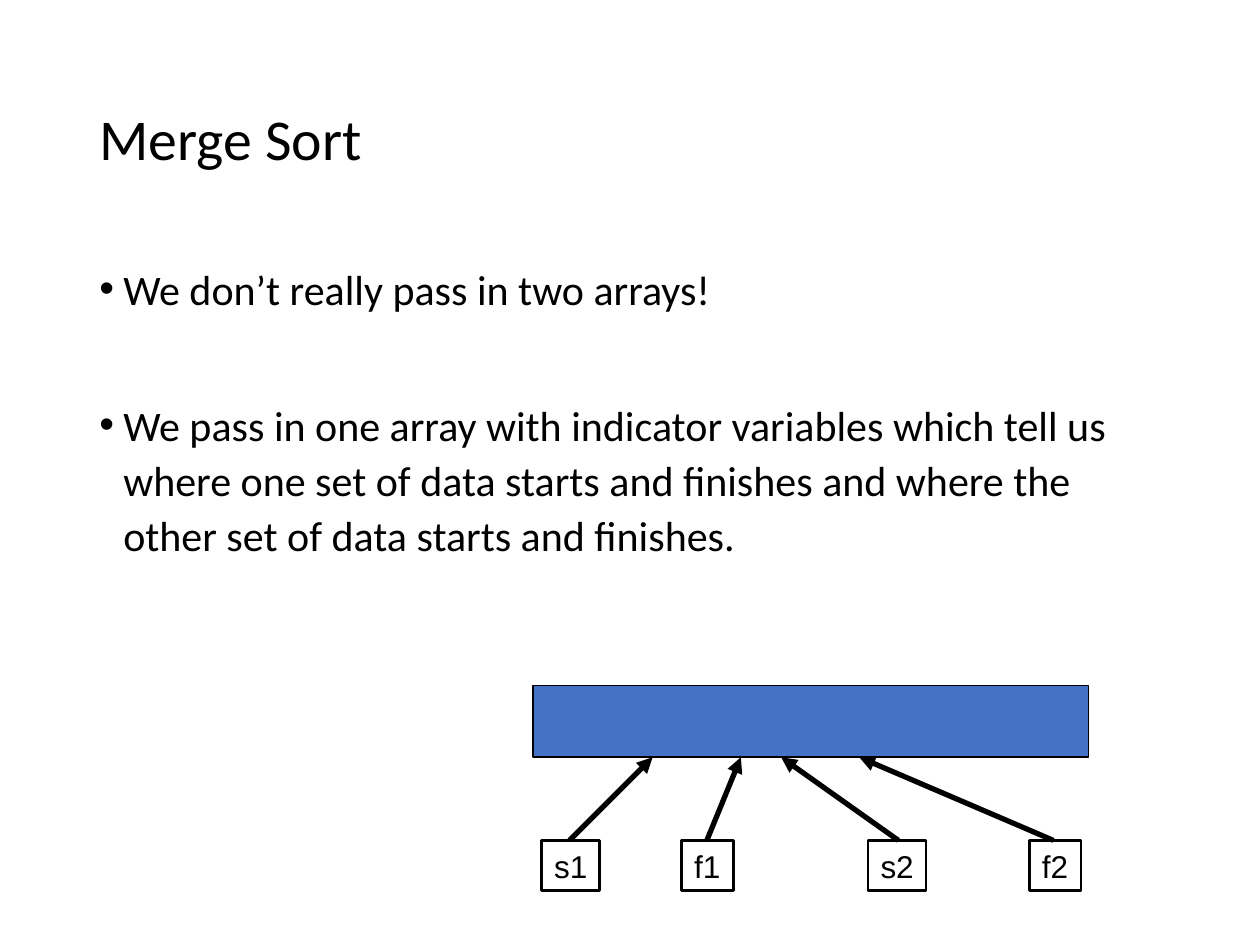
from lxml.etree import SubElement
from pptx import Presentation
from pptx.dml.color import RGBColor
from pptx.enum.shapes import MSO_CONNECTOR, MSO_SHAPE
from pptx.enum.text import MSO_ANCHOR, MSO_AUTO_SIZE, PP_ALIGN
from pptx.oxml.ns import qn
from pptx.util import Inches, Pt

COLORS = {"ink": "000000", "array": "4472C4"}
BULLETS = [
    ("We don’t really pass in two arrays!", 0),
    ("We pass in one array with indicator variables which tell us where one set "
     "of data starts and finishes and where the other set of data starts and "
     "finishes.", 46),
]
ARRAY_TOP, ARRAY_HEIGHT = 5.44, 0.57
ARRAY_BOTTOM = ARRAY_TOP + ARRAY_HEIGHT
INDEX_TOP, INDEX_HEIGHT = 6.67, 0.4
INDICES = [
    ("s1", 4.3, 0.46, 4.52, 5.18),
    ("f1", 5.41, 0.41, 5.61, 5.88),
    ("s2", 6.89, 0.46, 7.13, 6.2),
    ("f2", 8.17, 0.41, 8.36, 6.82),
]


def color(name):
    return RGBColor.from_string(COLORS[name])


def add_run(paragraph, text, size, font):
    run = paragraph.add_run()
    run.text = text
    run.font.size = Pt(size)
    run.font.name = font
    run.font.color.rgb = color("ink")


def add_title(slide, text):
    title = slide.shapes.title
    title.left, title.top = Inches(0.69), Inches(0.4)
    title.width, title.height = Inches(8.63), Inches(1.45)
    frame = title.text_frame
    frame.auto_size = MSO_AUTO_SIZE.NONE
    frame.vertical_anchor = MSO_ANCHOR.MIDDLE
    heading = frame.paragraphs[0]
    heading.alignment = PP_ALIGN.LEFT
    heading.line_spacing = 0.9
    add_run(heading, text, 33, "Calibri")


def add_bullets(slide, bullets):
    body = slide.shapes.add_textbox(Inches(0.69), Inches(2), Inches(8.63), Inches(3.2))
    frame = body.text_frame
    frame.word_wrap = True
    for number, (text, space_before) in enumerate(bullets):
        point = frame.add_paragraph() if number else frame.paragraphs[0]
        point.line_spacing = 1.1
        point.space_before = Pt(space_before)
        properties = point._p.get_or_add_pPr()
        properties.set("marL", str(Inches(0.19)))
        properties.set("indent", str(-Inches(0.19)))
        SubElement(properties, qn("a:buFont"), typeface="Arial")
        SubElement(properties, qn("a:buChar"), char="•")
        add_run(point, text, 24, "Calibri")


def add_box(slide, left, top, width, height, line_width, fill=None):
    box = slide.shapes.add_shape(
        MSO_SHAPE.RECTANGLE, Inches(left), Inches(top), Inches(width), Inches(height))
    box.shadow.inherit = False
    if fill:
        box.fill.solid()
        box.fill.fore_color.rgb = color(fill)
    else:
        box.fill.background()
    box.line.color.rgb = color("ink")
    box.line.width = Pt(line_width)
    return box


def add_index(slide, label, left, width):
    index = add_box(slide, left, INDEX_TOP, width, INDEX_HEIGHT, 1.5)
    frame = index.text_frame
    frame.word_wrap = False
    frame.vertical_anchor = MSO_ANCHOR.TOP
    frame.paragraphs[0].alignment = PP_ALIGN.LEFT
    add_run(frame.paragraphs[0], label, 18, "Arial")


def add_arrow(slide, start_x, end_x):
    arrow = slide.shapes.add_connector(
        MSO_CONNECTOR.STRAIGHT, Inches(start_x), Inches(INDEX_TOP),
        Inches(end_x), Inches(ARRAY_BOTTOM))
    arrow.line.color.rgb = color("ink")
    arrow.line.width = Pt(3)
    SubElement(arrow.line._get_or_add_ln(), qn("a:tailEnd"), type="triangle")
    SubElement(arrow._element.spPr, qn("a:effectLst"))


def main():
    deck = Presentation()
    deck.slide_width, deck.slide_height = Inches(10), Inches(7.5)
    slide = deck.slides.add_slide(deck.slide_layouts[5])
    add_title(slide, "Merge Sort")
    add_bullets(slide, BULLETS)
    add_box(slide, 4.23, ARRAY_TOP, 4.41, ARRAY_HEIGHT, 1, "array")
    for label, left, width, start_x, end_x in INDICES:
        add_index(slide, label, left, width)
        add_arrow(slide, start_x, end_x)
    deck.save("out.pptx")


if __name__ == "__main__":
    main()
